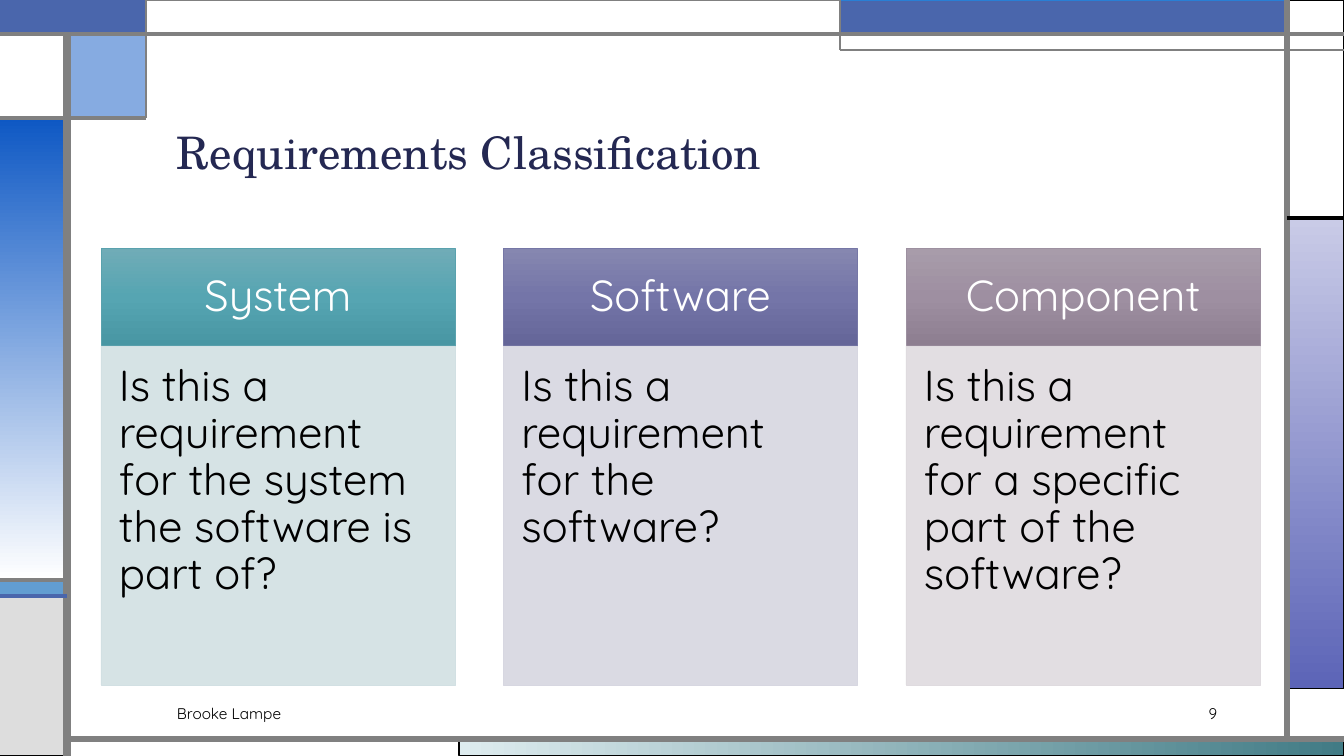
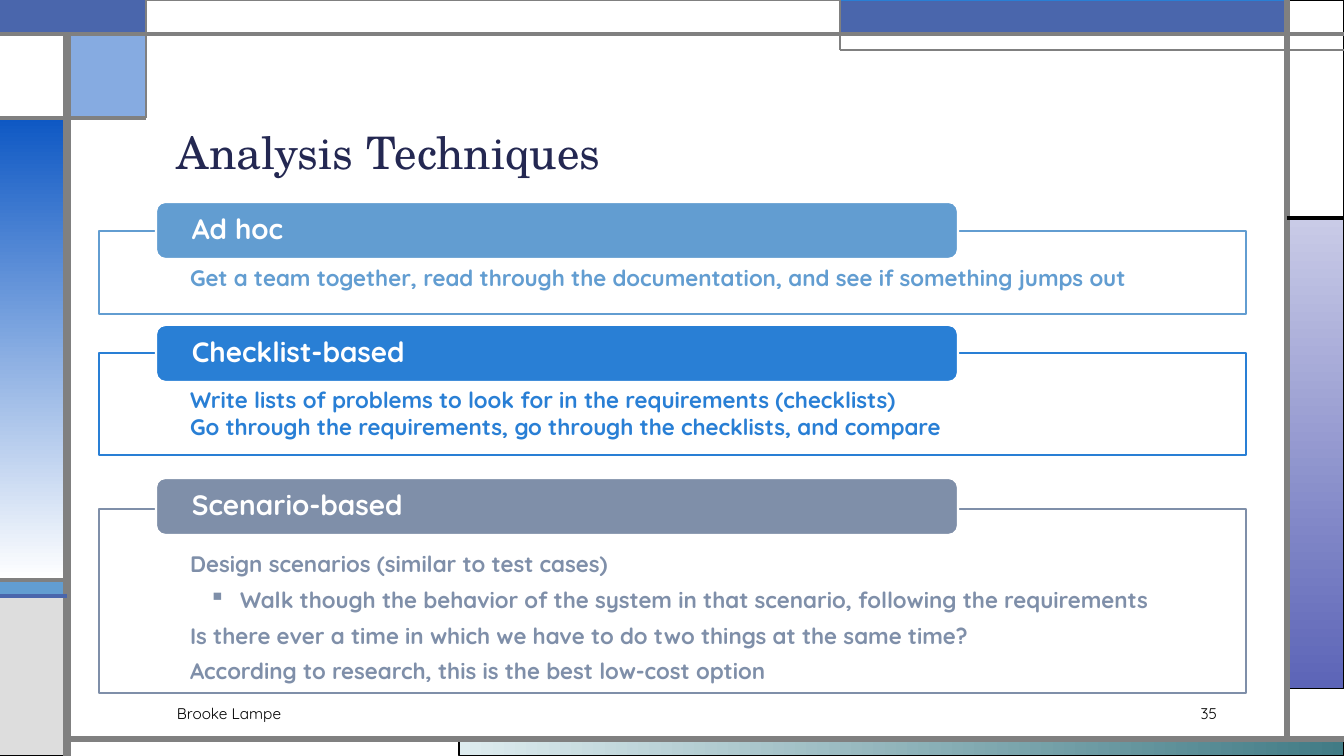
"""Build two requirements slides that share one geometric frame."""
import lxml.etree
import pptx
import pptx.dml.color
import pptx.enum.shapes
import pptx.enum.text
import pptx.oxml.ns
import pptx.util


class Theme:
    navy, black, white, grey = "242852", "000000", "FFFFFF", "808080"
    indigo, sky, azure, slate = "4A66AC", "629DD1", "297FD5", "7F8FA9"
    cobalt, silver = "0E58C4", "DDDDDD"
    teal_fade, violet_fade = ["DEECEF", "417B85"], ["C9CBE7", "5C64B7"]
    cobalt_fade = [cobalt, white]
    heading_font, body_font = "TeX Gyre Schola", "Quicksand"
    title_size, card_size, tab_size, detail_size, footer_size = 32, 31, 20, 16, 11


WIDTH, HEIGHT = 1344, 756
EMU_PER_PX = 12192000 / WIDTH
BULLET_MARGIN, BULLET_HANG = 50, 31
AUTHOR = "Brooke Lampe"

LEFT, RIGHT, TOP, BOTTOM = 67, 1287, 34, 739
CORNER, CORNER_END, BANNER, BANNER_END = 146, 118, 840, 50
RIGHT_BAND, STRIPE, STRIPE_END = 218, 580, 596

FRAME_PANELS = [
    ((459, BOTTOM, WIDTH, HEIGHT), Theme.teal_fade, 0, Theme.black, 0.75),
    ((RIGHT, RIGHT_BAND, WIDTH, 689), Theme.violet_fade, 90, Theme.black, 0.75),
    ((0, STRIPE, LEFT, STRIPE_END), Theme.sky, 0, Theme.black, 0.75),
    ((0, STRIPE_END, LEFT, HEIGHT), Theme.silver, 0, Theme.black, 0.75),
    ((RIGHT, 0, WIDTH, RIGHT_BAND), Theme.white, 0, Theme.black, 0.75),
    ((BANNER, 0, RIGHT, TOP), Theme.indigo, 0, Theme.azure, 0.75),
    ((LEFT, TOP, CORNER, CORNER_END), (Theme.cobalt, 50), 0, Theme.black, 0.75),
    ((0, CORNER_END, LEFT, STRIPE), Theme.cobalt_fade, 90, Theme.black, 0.75),
    ((0, TOP, LEFT, CORNER_END), Theme.white, 0, Theme.black, 0.75),
    ((0, 0, CORNER, TOP), Theme.indigo, 0, Theme.indigo, 1.5),
    ((CORNER, 0, BANNER, TOP), Theme.white, 0, Theme.grey, 0.75),
]
FRAME_BARS = [
    ((LEFT, HEIGHT, LEFT, TOP), Theme.grey, 6),
    ((LEFT, BOTTOM, WIDTH, BOTTOM), Theme.grey, 4.5),
    ((RIGHT, BOTTOM, RIGHT, 0), Theme.grey, 4.5),
    ((0, TOP, WIDTH, TOP), Theme.grey, 3),
    ((WIDTH, BANNER_END, BANNER, BANNER_END), Theme.grey, 1.5),
    ((BANNER, BANNER_END, BANNER, 0), Theme.grey, 1.5),
    ((RIGHT, RIGHT_BAND, WIDTH, RIGHT_BAND), Theme.black, 2.25),
    ((CORNER, 0, CORNER, CORNER_END), Theme.grey, 1.5),
    ((CORNER, CORNER_END, 0, CORNER_END), Theme.grey, 2.25),
    ((LEFT, STRIPE, 0, STRIPE), Theme.grey, 2.25),
    ((LEFT, STRIPE_END, 0, STRIPE_END), Theme.indigo, 2.25),
]

CLASSES = [
    ("System", "Is this a requirement for the system the software is part of?",
     ["70ACB7", "56A5B2", "4896A3"], "5AA2AE", "D2E0E3"),
    ("Software", "Is this a requirement for the software?",
     ["8687B0", "7475A8", "646598"], "7677A6", "D7D7E1"),
    ("Component", "Is this a requirement for a specific part of the software?",
     ["A89CAA", "9E8FA1", "8D7E90"], "9D90A0", "DFDBDF"),
]
TECHNIQUES = [
    {"name": "Ad hoc", "colour": Theme.sky, "tab_top": 202, "top": 231, "height": 83, "spacing": 0.9,
     "details": [
         "Get a team together, read through the documentation, and see if something jumps out"]},
    {"name": "Checklist-based", "colour": Theme.azure, "tab_top": 325, "top": 353, "height": 102,
     "spacing": 0.9,
     "details": [
         "Write lists of problems to look for in the requirements (checklists)",
         "Go through the requirements, go through the checklists, and compare"]},
    {"name": "Scenario-based", "colour": Theme.slate, "tab_top": 478, "top": 509, "height": 184,
     "spacing": 1.2,
     "details": [
         "Design scenarios (similar to test cases)",
         ("▪", "Walk though the behavior of the system in that scenario, following the requirements"),
         "Is there ever a time in which we have to do two things at the same time?",
         "According to research, this is the best low-cost option"]},
]


def px(length):
    return pptx.util.Emu(round(length * EMU_PER_PX))


def rgb(colour):
    return pptx.dml.color.RGBColor.from_string(colour)


def add_xml(parent, tag, **attributes):
    return lxml.etree.SubElement(parent, pptx.oxml.ns.qn(tag), attributes)


def paint(shape, fill, angle):
    """Apply a solid colour, a (colour, opacity) pair or a list of evenly spaced stops."""
    if isinstance(fill, list):
        shape.fill.gradient()
        shape.fill.gradient_angle = -angle % 360
        stops = shape.element.spPr.find(".//" + pptx.oxml.ns.qn("a:gsLst"))
        for stop in list(stops):
            stops.remove(stop)
        for index, colour in enumerate(fill):
            stop = add_xml(stops, "a:gs", pos=str(100000 * index // (len(fill) - 1)))
            add_xml(stop, "a:srgbClr", val=colour)
        return
    colour, opacity = fill if isinstance(fill, tuple) else (fill, 100)
    shape.fill.solid()
    shape.fill.fore_color.rgb = rgb(colour)
    if opacity < 100:
        solid = shape.element.spPr.find(".//" + pptx.oxml.ns.qn("a:srgbClr"))
        add_xml(solid, "a:alpha", val=str(opacity * 1000))


def add_panel(slide, left, top, width, height, fill, line, line_width, angle=0, rounded=False):
    kinds = pptx.enum.shapes.MSO_SHAPE
    panel = slide.shapes.add_shape(kinds.ROUNDED_RECTANGLE if rounded else kinds.RECTANGLE,
                                   px(left), px(top), px(width), px(height))
    panel.shadow.inherit = False
    paint(panel, fill, angle)
    panel.line.color.rgb = rgb(line)
    panel.line.width = pptx.util.Pt(line_width)
    return panel


def add_bar(slide, ends, colour, width):
    bar = slide.shapes.add_connector(pptx.enum.shapes.MSO_CONNECTOR.STRAIGHT, *map(px, ends))
    bar.line.color.rgb = rgb(colour)
    bar.line.width = pptx.util.Pt(width)
    add_xml(bar.element.spPr, "a:effectLst")


def write(shape, *lines, size, colour, font=Theme.body_font, bold=False, align="LEFT",
          anchor="MIDDLE", insets=(10, 5, 10, 5), spacing=1.0, after=0):
    """Fill a shape with lines; a (bullet, text) pair becomes an indented bullet."""
    frame = shape.text_frame
    frame.word_wrap = True
    frame.vertical_anchor = pptx.enum.text.MSO_ANCHOR[anchor]
    frame.margin_left, frame.margin_top, frame.margin_right, frame.margin_bottom = map(px, insets)
    for index, line in enumerate(lines):
        bullet, text = line if isinstance(line, tuple) else (None, line)
        paragraph = frame.add_paragraph() if index else frame.paragraphs[0]
        paragraph.alignment = pptx.enum.text.PP_ALIGN[align]
        paragraph.line_spacing = spacing
        paragraph.space_after = pptx.util.Pt(after)
        if bullet:
            properties = paragraph._p.get_or_add_pPr()
            properties.set("marL", str(px(BULLET_MARGIN)))
            properties.set("indent", str(-px(BULLET_HANG)))
            add_xml(properties, "a:buChar", char=bullet)
        run = paragraph.add_run()
        run.text = text
        run.font.name, run.font.bold = font, bold
        run.font.size = pptx.util.Pt(size)
        run.font.color.rgb = rgb(colour)


def add_text(slide, left, top, width, height, text, **style):
    write(slide.shapes.add_textbox(px(left), px(top), px(width), px(height)), text, **style)


def add_framed_slide(deck, title, number):
    slide = deck.slides.add_slide(deck.slide_layouts[6])
    for (left, top, right, bottom), fill, angle, line, line_width in FRAME_PANELS:
        add_panel(slide, left, top, right - left, bottom - top, fill, line, line_width, angle)
    for ends, colour, width in FRAME_BARS:
        add_bar(slide, ends, colour, width)
    add_text(slide, 167, 58, 1058, 126, title, size=Theme.title_size, colour=Theme.navy,
             font=Theme.heading_font, anchor="BOTTOM", spacing=0.9)
    footer = {"size": Theme.footer_size, "colour": Theme.black}
    add_text(slide, 167, 698, 756, 30, AUTHOR, **footer)
    add_text(slide, 1118, 698, 109, 30, str(number), align="RIGHT", **footer)
    return slide


def add_class_cards(slide):
    left, right, width = 101, 1260, 354
    top, head_height, body_height = 248, 98, 339
    pitch = (right - left - width) / (len(CLASSES) - 1)
    for index, (name, question, fade, edge, tint) in enumerate(CLASSES):
        x = left + index * pitch
        head = add_panel(slide, x, top, width, head_height, fade, edge, 0.5, angle=90)
        write(head, name, size=Theme.card_size, colour=Theme.white, align="CENTER",
              insets=(24, 14, 24, 14), spacing=0.9)
        body = add_panel(slide, x, top + head_height, width, body_height, (tint, 90), tint, 0.5)
        write(body, question, size=Theme.card_size, colour=Theme.black, anchor="TOP",
              insets=(18, 18, 24, 27), spacing=0.9)


def add_technique_boxes(slide):
    for technique in TECHNIQUES:
        colour = technique["colour"]
        box = add_panel(slide, 99, technique["top"], 1147, technique["height"],
                        (Theme.white, 90), colour, 1)
        write(box, *technique["details"], size=Theme.detail_size, colour=colour, bold=True,
              anchor="TOP", insets=(91, 36, 91, 12), spacing=technique["spacing"], after=2.5)
        tab = add_panel(slide, 156, technique["tab_top"], 802, 57, colour, Theme.white, 1.5,
                        rounded=True)
        write(tab, technique["name"], size=Theme.tab_size, colour=Theme.white, bold=True,
              insets=(33, 3, 33, 3), spacing=0.9)


def main():
    deck = pptx.Presentation()
    deck.slide_width, deck.slide_height = px(WIDTH), px(HEIGHT)
    add_class_cards(add_framed_slide(deck, "Requirements Classification", 9))
    add_technique_boxes(add_framed_slide(deck, "Analysis Techniques", 35))
    deck.save("out.pptx")


if __name__ == "__main__":
    main()
